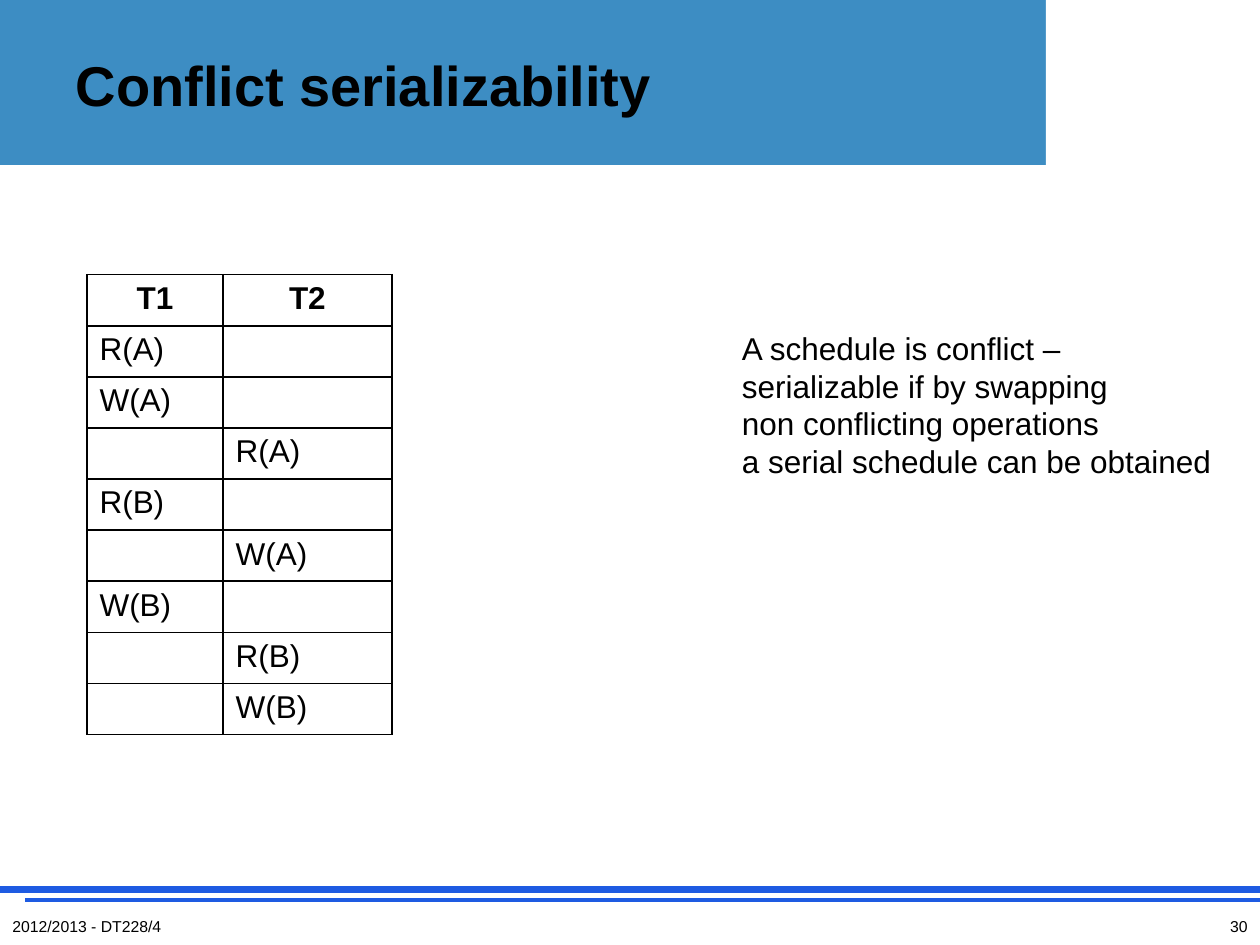
"""Build the conflict serializability slide."""
from dataclasses import dataclass

import lxml.etree
import pptx
import pptx.dml.color
import pptx.enum.shapes
import pptx.enum.text
import pptx.oxml
import pptx.oxml.ns
import pptx.util
from pptx.util import Inches

FONT = "Arial"
BLACK = "000000"
WHITE = "FFFFFF"
BANNER_BLUE = "3D8DC3"
RULE_BLUE = "1E5BE2"
LEFT = pptx.enum.text.PP_ALIGN.LEFT
CENTER = pptx.enum.text.PP_ALIGN.CENTER
RIGHT = pptx.enum.text.PP_ALIGN.RIGHT


@dataclass(frozen=True)
class Block:
    left: float
    top: float
    width: float
    height: float
    fill: str


@dataclass(frozen=True)
class Rule:
    left: float
    top: float
    weight: float


@dataclass(frozen=True)
class Label:
    left: float
    top: float
    width: float
    height: float
    lines: tuple[str, ...]
    size: float
    align: pptx.enum.text.PP_ALIGN = LEFT


BLOCKS = (
    Block(0, 0, 10, 1.31, BANNER_BLUE),
    Block(8.3, 0, 1.7, 1.4, WHITE),
)
RULES = (Rule(0, 7.06, 4.5), Rule(0.2, 7.14, 2.25))
LABELS = (
    Label(0, 7.23, 2.33, 0.27, ("2012/2013 - DT228/4",), 9),
    Label(7.67, 7.23, 2.33, 0.27, ("30",), 9, RIGHT),
    Label(
        5.79, 2.56, 3.94, 1.31,
        (
            "A schedule is conflict – serializable if by swapping",
            "non conflicting operations",
            "a serial schedule can be obtained",
        ),
        18,
    ),
)
TRANSACTIONS = ("T1", "T2")
SCHEDULE = (
    ("T1", "R(A)"),
    ("T1", "W(A)"),
    ("T2", "R(A)"),
    ("T1", "R(B)"),
    ("T2", "W(A)"),
    ("T1", "W(B)"),
    ("T2", "R(B)"),
    ("T2", "W(B)"),
)
COLUMN_WIDTHS = (1.08, 1.34)
TABLE_HEIGHT = 3.65


def color(value: str) -> pptx.dml.color.RGBColor:
    return pptx.dml.color.RGBColor.from_string(value)


def style_paragraph(paragraph, size: float, align=LEFT, bold: bool = False) -> None:
    paragraph.alignment = align
    paragraph.font.name = FONT
    paragraph.font.size = pptx.util.Pt(size)
    paragraph.font.bold = bold
    paragraph.font.color.rgb = color(BLACK)


def add_block(slide, block: Block) -> None:
    shape = slide.shapes.add_shape(
        pptx.enum.shapes.MSO_SHAPE.RECTANGLE,
        Inches(block.left), Inches(block.top), Inches(block.width), Inches(block.height),
    )
    shape.shadow.inherit = False
    shape.fill.solid()
    shape.fill.fore_color.rgb = color(block.fill)
    shape.line.fill.background()


def add_rule(slide, rule: Rule) -> None:
    connector = slide.shapes.add_connector(
        pptx.enum.shapes.MSO_CONNECTOR.STRAIGHT,
        Inches(rule.left), Inches(rule.top), Inches(10), Inches(rule.top),
    )
    connector.line.color.rgb = color(RULE_BLUE)
    connector.line.width = pptx.util.Pt(rule.weight)
    properties = connector.element.spPr
    lxml.etree.SubElement(properties, pptx.oxml.ns.qn("a:effectLst"))


def add_label(slide, label: Label) -> None:
    box = slide.shapes.add_textbox(
        Inches(label.left), Inches(label.top), Inches(label.width), Inches(label.height)
    )
    frame = box.text_frame
    frame.word_wrap = True
    frame.text = "\n".join(label.lines)
    for paragraph in frame.paragraphs:
        style_paragraph(paragraph, label.size, label.align)


def set_title(slide, text: str) -> None:
    title = slide.shapes.title
    title.left, title.top = Inches(0.5), Inches(0.13)
    title.width, title.height = Inches(6.86), Inches(1.08)
    title.text_frame.text = text
    title.text_frame.vertical_anchor = pptx.enum.text.MSO_ANCHOR.MIDDLE
    style_paragraph(title.text_frame.paragraphs[0], 32, bold=True)
    title.element.getparent().append(title.element)


def add_borders(cell) -> None:
    properties = cell._tc.get_or_add_tcPr()
    for side in ("lnL", "lnR", "lnT", "lnB"):
        properties.append(pptx.oxml.parse_xml(
            f'<a:{side} {pptx.oxml.ns.nsdecls("a")} w="{pptx.util.Pt(1)}">'
            f'<a:solidFill><a:srgbClr val="{BLACK}"/></a:solidFill></a:{side}>'
        ))


def add_schedule(slide) -> None:
    rows = [TRANSACTIONS] + [
        tuple(operation if owner == name else "" for name in TRANSACTIONS)
        for owner, operation in SCHEDULE
    ]
    table = slide.shapes.add_table(
        len(rows), len(TRANSACTIONS), Inches(0.69), Inches(2.18),
        Inches(sum(COLUMN_WIDTHS)), Inches(TABLE_HEIGHT),
    ).table
    table.horz_banding = False
    for column, width in zip(table.columns, COLUMN_WIDTHS):
        column.width = Inches(width)
    for row_index, texts in enumerate(rows):
        header = row_index == 0
        for column_index, text in enumerate(texts):
            cell = table.cell(row_index, column_index)
            cell.text = text
            style_paragraph(
                cell.text_frame.paragraphs[0], 18, CENTER if header else LEFT, header
            )
            add_borders(cell)
            cell.fill.background()


def main() -> None:
    presentation = pptx.Presentation()
    presentation.slide_width, presentation.slide_height = Inches(10), Inches(7.5)
    slide = presentation.slides.add_slide(presentation.slide_layouts[5])
    for block in BLOCKS:
        add_block(slide, block)
    for rule in RULES:
        add_rule(slide, rule)
    set_title(slide, "Conflict serializability")
    add_schedule(slide)
    for label in LABELS:
        add_label(slide, label)
    presentation.save("out.pptx")


if __name__ == "__main__":
    main()
